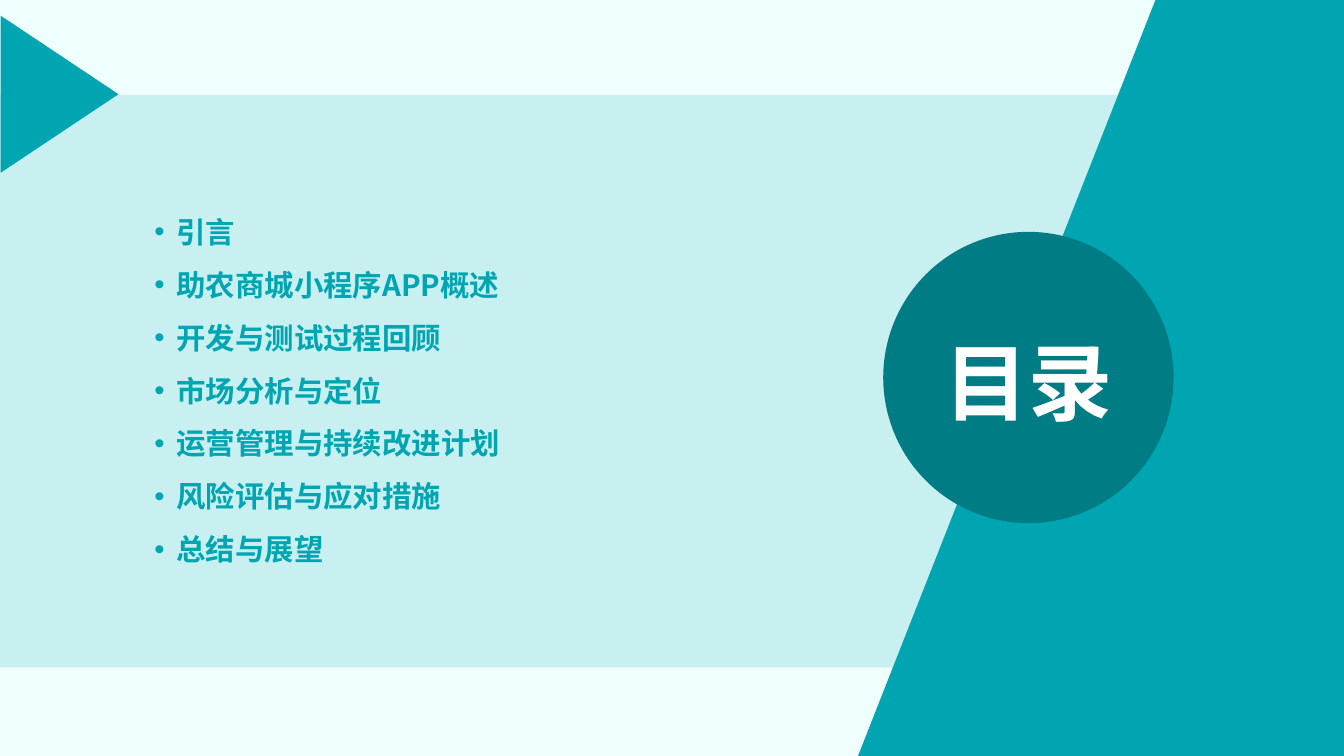
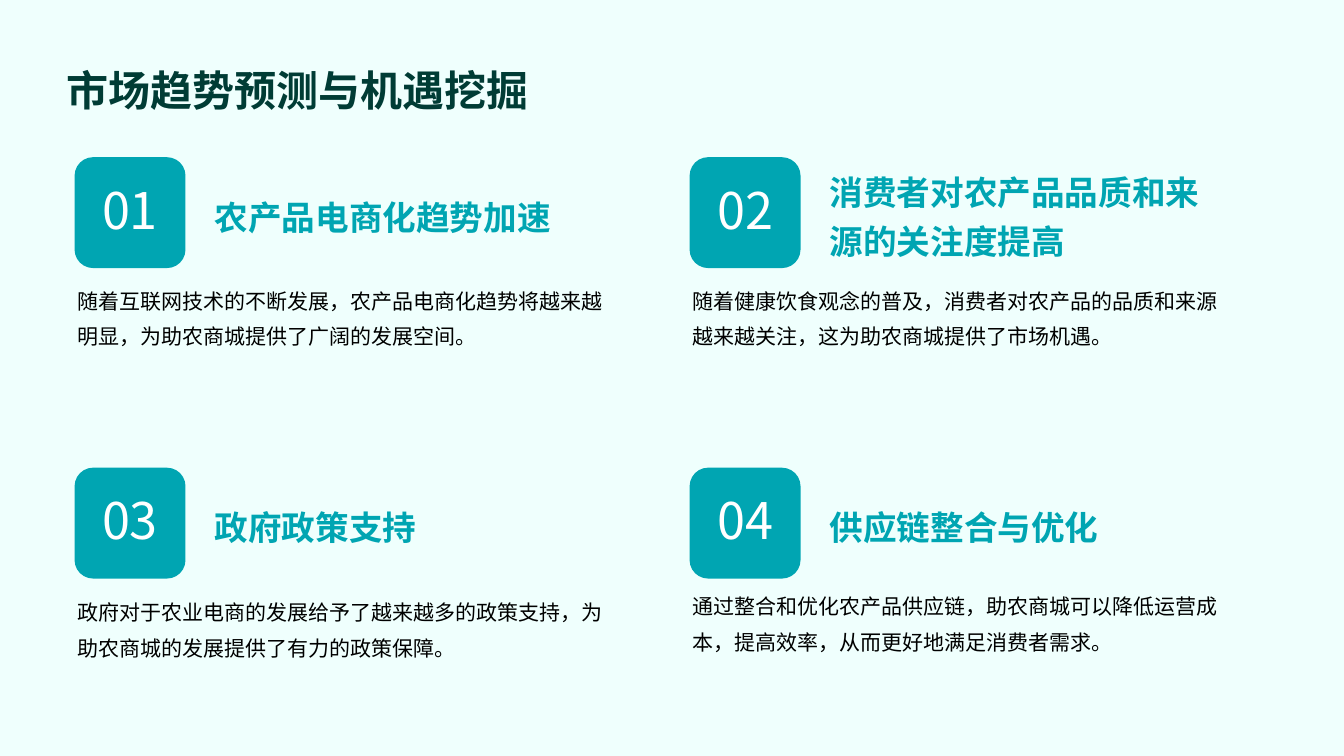
import pptx
import pptx.util
import pptx.dml.color
import pptx.enum.shapes
import pptx.enum.text
import pptx.oxml.ns
from dataclasses import dataclass
from lxml import etree

Inches = pptx.util.Inches
Pt = pptx.util.Pt
MSO = pptx.enum.shapes.MSO_SHAPE
ALIGN = pptx.enum.text.PP_ALIGN
ANCHOR = pptx.enum.text.MSO_ANCHOR
qn = pptx.oxml.ns.qn


@dataclass(frozen=True)
class Theme:
    font: str = "Noto Sans CJK SC"
    background: str = "EFFFFD"
    accent: str = "00A5B2"
    dark: str = "007C85"
    title: str = "003C35"
    body: str = "000000"
    white: str = "FFFFFF"
    cover_size: int = 60
    number_size: int = 36
    title_size: int = 30
    heading_size: int = 24
    agenda_size: int = 21
    body_size: int = 15


THEME = Theme()
WIDTH, HEIGHT = 13.33, 7.5
FRAME = (0.14, 0.14, 0.06, 0.14)
DEFAULT = (0.1, 0.05, 0.1, 0.05)
NONE = (0, 0, 0, 0)

AGENDA = [
    "引言",
    "助农商城小程序APP概述",
    "开发与测试过程回顾",
    "市场分析与定位",
    "运营管理与持续改进计划",
    "风险评估与应对措施",
    "总结与展望",
]
TRENDS = [
    ("农产品电商化趋势加速",
     "随着互联网技术的不断发展，农产品电商化趋势将越来越明显，为助农商城提供了广阔的发展空间。", 1.2),
    ("消费者对农产品品质和来源的关注度提高",
     "随着健康饮食观念的普及，消费者对农产品的品质和来源越来越关注，这为助农商城提供了市场机遇。", 1.2),
    ("政府政策支持",
     "政府对于农业电商的发展给予了越来越多的政策支持，为助农商城的发展提供了有力的政策保障。", 1.21),
    ("供应链整合与优化",
     "通过整合和优化农产品供应链，助农商城可以降低运营成本，提高效率，从而更好地满足消费者需求。", 1.15),
]


def rgb(color):
    return pptx.dml.color.RGBColor.from_string(color)


def paint(sp, color, alpha=None):
    sp.shadow.inherit = False
    sp.fill.solid()
    sp.fill.fore_color.rgb = rgb(color)
    sp.line.fill.background()
    if alpha is not None:
        clr = sp.fill._xPr.find(qn("a:solidFill"))[0]
        etree.SubElement(clr, qn("a:alpha"), val=str(alpha * 1000))


def add_shape(s, kind, box, color, alpha=None):
    sp = s.shapes.add_shape(kind, *map(Inches, box))
    paint(sp, color, alpha)
    return sp


def add_bullet(p, indent):
    pPr = p._p.get_or_add_pPr()
    pPr.set("marL", str(Inches(indent)))
    pPr.set("indent", str(-Inches(indent)))
    etree.SubElement(pPr, qn("a:buFont"), typeface="Arial")
    etree.SubElement(pPr, qn("a:buChar"), char="•")


def write(sp, lines, size, color, bold=False, insets=DEFAULT, anchor=ANCHOR.MIDDLE,
          align=ALIGN.LEFT, spacing=1.0, bullet=None):
    tf = sp.text_frame
    tf.word_wrap = True
    tf.auto_size = pptx.enum.text.MSO_AUTO_SIZE.NONE
    tf.vertical_anchor = anchor
    tf.margin_left, tf.margin_top, tf.margin_right, tf.margin_bottom = map(Inches, insets)
    for i, line in enumerate(lines):
        p = tf.add_paragraph() if i else tf.paragraphs[0]
        p.alignment = align
        p.line_spacing = spacing
        if bullet:
            add_bullet(p, bullet)
        r = p.add_run()
        r.text = line
        r.font.size = Pt(size)
        r.font.bold = bold
        r.font.color.rgb = rgb(color)
        r.font.name = THEME.font
        etree.SubElement(r._r.get_or_add_rPr(), qn("a:ea"), typeface=THEME.font)


def add_text(s, box, lines, size, color, **style):
    write(s.shapes.add_textbox(*map(Inches, box)), lines, size, color, **style)


def set_title(s, box, text, size, color, **style):
    sp = s.shapes.title
    sp.left, sp.top, sp.width, sp.height = map(Inches, box)
    write(sp, [text], size, color, bold=True, **style)
    sp.element.getparent().append(sp.element)


def add_side_panel(s):
    builder = s.shapes.build_freeform(Inches(WIDTH), 0)
    corners = [(11.46, 0), (8.51, HEIGHT), (WIDTH, HEIGHT)]
    builder.add_line_segments([(Inches(x), Inches(y)) for x, y in corners])
    paint(builder.convert_to_shape(), THEME.accent)


def add_trend(s, x, y, number, heading, text, text_drop):
    side = 1.1
    tile = add_shape(s, MSO.ROUNDED_RECTANGLE, (x, y, side, side), THEME.accent)
    tile.adjustments[0] = 0.167
    write(tile, [f"{number:02d}"], THEME.number_size, THEME.white,
          insets=(0, 0, 0, 0.07), align=ALIGN.CENTER)
    add_text(s, (x + 1.29, y, 3.88, side), [heading], THEME.heading_size, THEME.accent,
             bold=True, spacing=1.2)
    add_text(s, (x + 0.03, y + text_drop, 5.31, 1.09), [text], THEME.body_size, THEME.body,
             insets=NONE, anchor=ANCHOR.TOP, spacing=1.4)


def build_agenda(s):
    add_shape(s, MSO.RECTANGLE, (0, 0.94, WIDTH, 5.68), THEME.accent, alpha=16)
    add_side_panel(s)
    arrow = add_shape(s, MSO.ISOSCELES_TRIANGLE, (-0.19, 0.35, 1.56, 1.17), THEME.accent)
    arrow.rotation = 90
    add_shape(s, MSO.OVAL, (8.76, 2.3, 2.88, 2.89), THEME.dark)
    add_text(s, (1.39, 1.15, 6.35, 5.27), AGENDA, THEME.agenda_size, THEME.accent,
             bold=True, insets=FRAME, spacing=1.5, bullet=0.22)
    set_title(s, (8.76, 2.96, 2.88, 1.64), "目录", THEME.cover_size, THEME.white,
              insets=NONE, align=ALIGN.CENTER)


def build_trends(s):
    set_title(s, (0.52, 0.29, 12.29, 1), "市场趋势预测与机遇挖掘", THEME.title_size, THEME.title,
              insets=FRAME, spacing=1.4)
    for i, trend in enumerate(TRENDS):
        row, column = divmod(i, 2)
        add_trend(s, 0.74 + 6.1 * column, 1.56 + 3.08 * row, i + 1, *trend)


def main():
    prs = pptx.Presentation()
    prs.slide_width, prs.slide_height = Inches(WIDTH), Inches(HEIGHT)
    fill = prs.slide_master.background.fill
    fill.solid()
    fill.fore_color.rgb = rgb(THEME.background)
    for build in (build_agenda, build_trends):
        build(prs.slides.add_slide(prs.slide_layouts[5]))
    prs.save("out.pptx")


if __name__ == "__main__":
    main()
